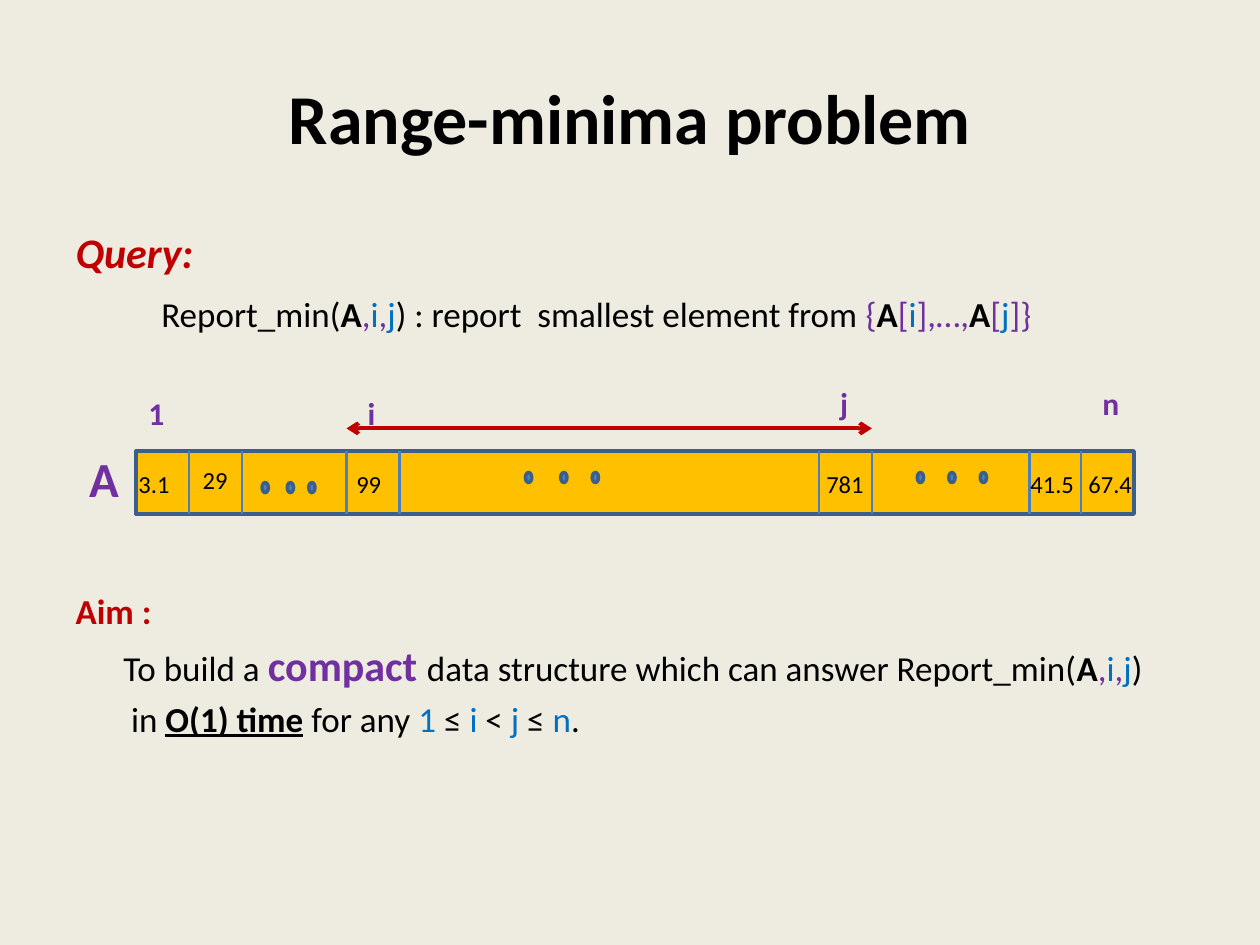
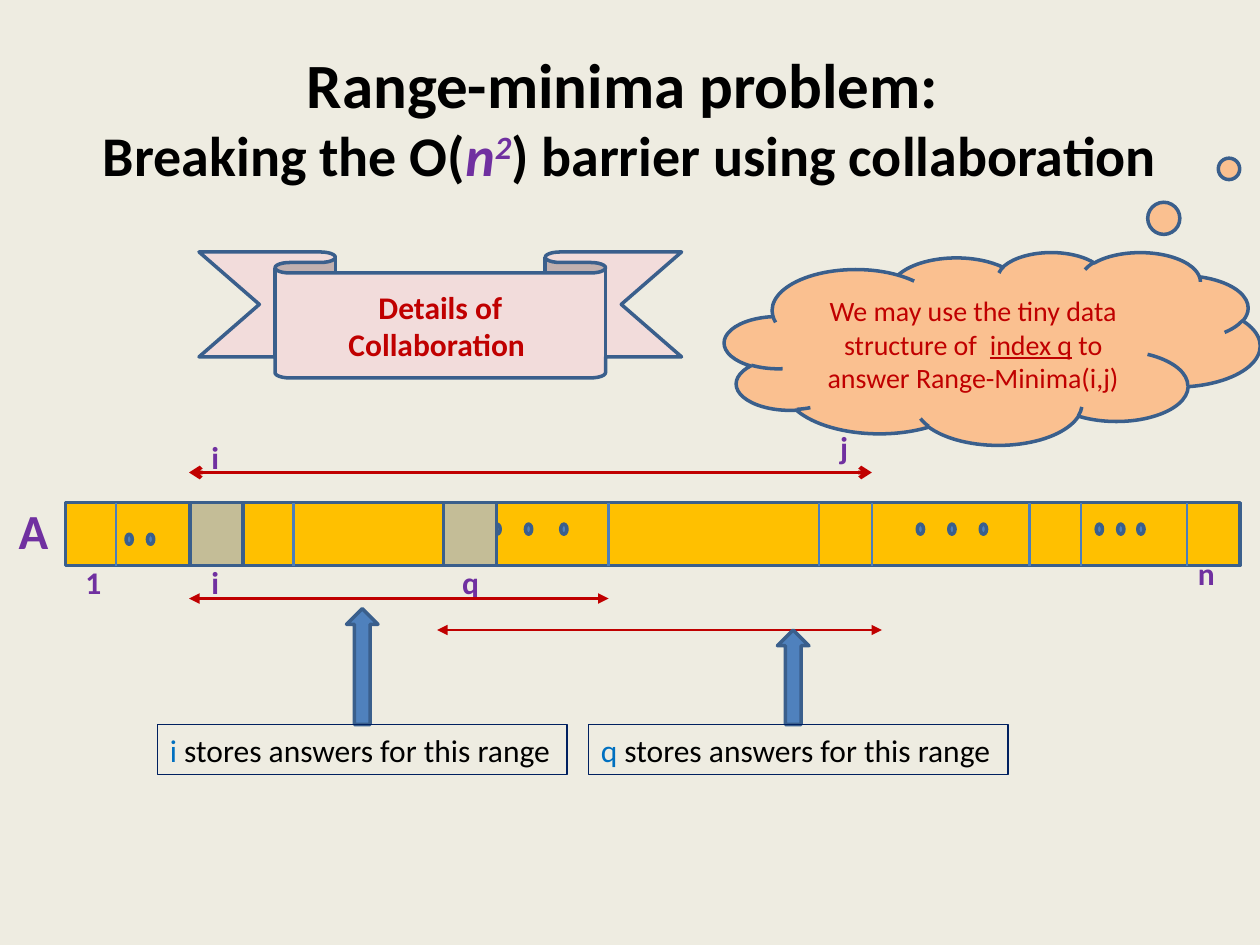
from copy import deepcopy

from lxml import etree
from pptx import Presentation
from pptx.dml.color import RGBColor
from pptx.enum.shapes import MSO_CONNECTOR, MSO_SHAPE
from pptx.enum.text import MSO_ANCHOR, MSO_AUTO_SIZE, PP_ALIGN
from pptx.oxml.ns import qn
from pptx.util import Inches, Pt

RECTANGLE, OVAL = MSO_SHAPE.RECTANGLE, MSO_SHAPE.OVAL
RIBBON, CLOUD = MSO_SHAPE.DOWN_RIBBON, MSO_SHAPE.CLOUD_CALLOUT
UP_ARROW, STRAIGHT = MSO_SHAPE.UP_ARROW, MSO_CONNECTOR.STRAIGHT
LEFT, CENTER = PP_ALIGN.LEFT, PP_ALIGN.CENTER
TOP, MIDDLE = MSO_ANCHOR.TOP, MSO_ANCHOR.MIDDLE
NO_AUTOFIT = MSO_AUTO_SIZE.NONE

FONT = "Calibri"
COLORS = {
    "background": "EEECE1", "black": "000000", "red": "C00000",
    "purple": "7030A0", "blue": "0070C0", "array": "FFC000",
    "outline": "3A5F8C", "divider": "4B7EBC", "accent": "4F81BD",
    "marked": "C4BD97", "ribbon": "F2DCDB", "cloud": "FAC090", "navy": "002060",
}
CELL_HEIGHT = 0.5
CELL_WIDTH = 0.42
UPPER_DOT, LOWER_DOT = 0.17, 0.25


def color(name):
    return RGBColor.from_string(COLORS[name])


def add_text(paragraph, text, size=20, fill="black", bold=False, italic=False,
             underline=False, baseline=0):
    run = paragraph.add_run()
    run.text = text
    font = run.font
    font.name, font.size = FONT, Pt(size)
    font.bold, font.italic, font.underline = bold, italic, underline
    font.color.rgb = color(fill)
    if baseline:
        run._r.get_or_add_rPr().set("baseline", str(baseline))
    return run


def add_runs(paragraph, runs, **shared):
    for text, formatting in runs:
        add_text(paragraph, text, **{**shared, **formatting})


def add_label(slide, text, left, top, width, height=0.4, **formatting):
    box = slide.shapes.add_textbox(*map(Inches, (left, top, width, height)))
    box.text_frame.word_wrap = False
    add_text(box.text_frame.paragraphs[0], text, **formatting)


def add_letter(slide, text, left, top, width, size=18, height=0.4):
    add_label(slide, text, left, top, width, height, size=size, fill="purple", bold=True)


def add_box(slide, kind, box, fill=None, line="outline", weight=2, adjustments=()):
    shape = slide.shapes.add_shape(kind, *map(Inches, box))
    shape.shadow.inherit = False
    if fill:
        shape.fill.solid()
        shape.fill.fore_color.rgb = color(fill)
    else:
        shape.fill.background()
    shape.line.color.rgb = color(line)
    shape.line.width = Pt(weight)
    for index, value in enumerate(adjustments):
        shape.adjustments[index] = value
    return shape


def add_line(slide, start, end, line, weight, arrowhead=None):
    connector = slide.shapes.add_connector(STRAIGHT, *map(Inches, (*start, *end)))
    connector.line.color.rgb = color(line)
    connector.line.width = Pt(weight)
    if arrowhead:
        outline = connector.line._get_or_add_ln()
        for name in ("a:headEnd", "a:tailEnd"):
            etree.SubElement(outline, qn(name)).set("type", arrowhead)
    etree.SubElement(connector._element.spPr, qn("a:effectLst"))


def add_range(slide, left, right, top, weight=2.25, arrowhead="arrow"):
    add_line(slide, (left, top), (right, top), "red", weight, arrowhead)


def add_array(slide, left, top, width, dividers, dots):
    add_box(slide, RECTANGLE, (left, top, width, CELL_HEIGHT), "array")
    for x in dividers:
        add_line(slide, (x, top), (x, top + CELL_HEIGHT), "divider", 1.5)
    for offset, positions in dots.items():
        for x in positions:
            add_box(slide, OVAL, (x, top + offset, 0.05, 0.08), "accent")
    add_letter(slide, "A", left - 0.47, top - 0.07, 0.44, size=28, height=0.57)


def add_title(slide, lines):
    paragraph = slide.shapes.title.text_frame.paragraphs[0]
    slide.shapes.title.text_frame.vertical_anchor = MIDDLE
    paragraph.alignment = CENTER
    for index, (size, runs) in enumerate(lines):
        if index:
            paragraph.add_line_break()
            paragraph._p[-1].append(deepcopy(paragraph.runs[-1]._r.rPr))
        add_runs(paragraph, runs, size=size, bold=True)


def add_body(slide, box, paragraphs):
    body = slide.placeholders[1]
    body.left, body.top, body.width, body.height = map(Inches, box)
    frame = body.text_frame
    frame.auto_size = NO_AUTOFIT
    for index, (indent, space, runs) in enumerate(paragraphs):
        paragraph = frame.add_paragraph() if index else frame.paragraphs[0]
        paragraph.space_before = Pt(space)
        properties = paragraph._p.get_or_add_pPr()
        properties.set("marL", str(Inches(indent)))
        properties.set("indent", "0")
        etree.SubElement(properties, qn("a:buNone"))
        add_runs(paragraph, runs)


def add_callout(slide, kind, box, fill, adjustments, runs, **shared):
    shape = add_box(slide, kind, box, fill, adjustments=adjustments)
    shape.text_frame.word_wrap = True
    shape.text_frame.vertical_anchor = MIDDLE
    paragraph = shape.text_frame.paragraphs[0]
    paragraph.alignment = CENTER
    add_runs(paragraph, runs, fill="red", **shared)


def add_range_note(slide, letter, left, top, width, arrow_left, arrow_top):
    add_box(slide, UP_ARROW, (arrow_left, arrow_top, 0.25, top - arrow_top), "accent")
    note = add_box(slide, RECTANGLE, (left, top, width, 0.4), line="navy", weight=0.75)
    note.text_frame.word_wrap = False
    note.text_frame.vertical_anchor = TOP
    paragraph = note.text_frame.paragraphs[0]
    paragraph.alignment = LEFT
    add_runs(paragraph, [(letter, BLUE), (" stores answers for this range", PLAIN)], size=18)


def add_marked_cell(slide, letter, left, top, label_left, label_width):
    add_box(slide, RECTANGLE, (left, top, CELL_WIDTH, CELL_HEIGHT), "marked")
    add_letter(slide, letter, label_left, top + 0.43, label_width)


PLAIN, BOLD = {}, {"bold": True}
BLUE, PURPLE = {"fill": "blue"}, {"fill": "purple"}
HEADING = {"fill": "red", "bold": True}
ARGUMENTS = [("A", BOLD), (",", PURPLE), ("i", BLUE), (",", PURPLE), ("j", BLUE)]


def build_problem_slide(presentation):
    slide = presentation.slides.add_slide(presentation.slide_layouts[1])
    add_title(slide, [(40, [("Range-minima problem", PLAIN)])])
    add_body(slide, (0.5, 1.75, 9, 4.95), [
        (0, 0, [("Query: ", {**HEADING, "size": 24, "italic": True})]),
        (0.68, 8.6, [
            ("Report_min(", PLAIN), *ARGUMENTS,
            (") : report  smallest element from ", PLAIN), ("{", PURPLE),
            ("A", BOLD), ("[", PURPLE), ("i", BLUE), ("],…,", PURPLE),
            ("A", BOLD), ("[", PURPLE), ("j", BLUE), ("]}", PURPLE)]),
        (0, 146, [("Aim : ", HEADING)]),
        (0.38, 4.5, [
            ("To build a ", PLAIN), ("compact ", {**PURPLE, **BOLD, "size": 24}),
            ("data structure which can answer Report_min(", PLAIN),
            *ARGUMENTS, (")", PLAIN)]),
        (0.44, 4, [
            ("in ", PLAIN), ("O(1) time", {**BOLD, "underline": True}),
            (" for any ", PLAIN), ("1 ", BLUE), ("≤ ", PLAIN), ("i ", BLUE),
            ("< ", PLAIN), ("j ", BLUE), ("≤ ", PLAIN), ("n", BLUE), (".", PLAIN)]),
    ])
    top = 3.58
    add_array(slide, 1.08, top, 7.92,
              (1.5, 1.92, 2.75, 3.17, 6.5, 6.92, 8.17, 8.58),
              {UPPER_DOT: (4.17, 4.45, 4.7, 7.28, 7.53, 7.78),
               LOWER_DOT: (2.08, 2.28, 2.45)})
    for value, left, width in (("3.1", 1, 0.45), ("99", 2.73, 0.4), ("781", 6.46, 0.5),
                               ("41.5", 8.08, 0.55), ("67.4", 8.54, 0.55)):
        add_label(slide, value, left, top + 0.09, width, 0.34, size=14)
    add_label(slide, "29", 1.51, top + 0.06, 0.4, 0.34, size=14)
    for letter, left, offset, width in (("1", 1.08, 0.5, 0.33), ("i", 2.82, 0.5, 0.26),
                                        ("j", 6.57, 0.58, 0.27), ("n", 8.65, 0.58, 0.34)):
        add_letter(slide, letter, left, top - offset, width)
    add_range(slide, 2.75, 6.92, 3.4)


def build_collaboration_slide(presentation):
    slide = presentation.slides.add_slide(presentation.slide_layouts[5])
    add_title(slide, [
        (36, [("Range-minima problem: ", PLAIN)]),
        (32, [("Breaking the O(", PLAIN), ("n", {**PURPLE, "italic": True}),
              ("2", {**PURPLE, "italic": True, "baseline": 30000}),
              (") barrier using collaboration", PLAIN)]),
    ])
    add_letter(slide, "i", 1.58, 3.43, 0.26)
    add_letter(slide, "j", 6.57, 3.35, 0.27)
    add_range(slide, 1.5, 6.92, 3.75)
    add_callout(slide, RIBBON, (1.58, 2, 3.83, 1), "ribbon", (0.167, 0.685),
                [("Details of Collaboration ", BOLD)], size=18)
    top = 3.99
    add_array(slide, 0.52, top, 9.32,
              (0.92, 1.5, 1.92, 2.33, 4.83, 6.5, 6.92, 8.17, 8.58, 9.42),
              {UPPER_DOT: (3.92, 4.17, 4.45, 7.28, 7.53, 7.78, 8.7, 8.87, 9.03),
               LOWER_DOT: (1, 1.17)})
    add_letter(slide, "1", 0.58, top + 0.43, 0.33)
    add_letter(slide, "n", 9.41, top + 0.36, 0.34)
    add_marked_cell(slide, "i", 1.51, top, 1.58, 0.26)
    add_marked_cell(slide, "q", 3.52, top, 3.57, 0.34)
    add_range(slide, 3.47, 7, 5, 1.5, "triangle")
    add_range(slide, 1.5, 4.83, 4.75, 2, "triangle")
    add_range_note(slide, "i", 1.25, 5.75, 3.25, 2.75, 4.83)
    add_range_note(slide, "q", 4.67, 5.75, 3.33, 6.17, 5)
    add_callout(slide, CLOUD, (5.75, 2, 4.25, 1.53), "cloud", (0.548, -1.154), [
        ("We may use the tiny data structure of  ", PLAIN),
        ("index q", {"underline": True}),
        (" to answer Range-Minima(i,j)", PLAIN)], size=16)


presentation = Presentation()
presentation.slide_width, presentation.slide_height = Inches(10), Inches(7.5)
background = presentation.slide_master.background.fill
background.solid()
background.fore_color.rgb = color("background")
build_problem_slide(presentation)
build_collaboration_slide(presentation)
presentation.save("out.pptx")
